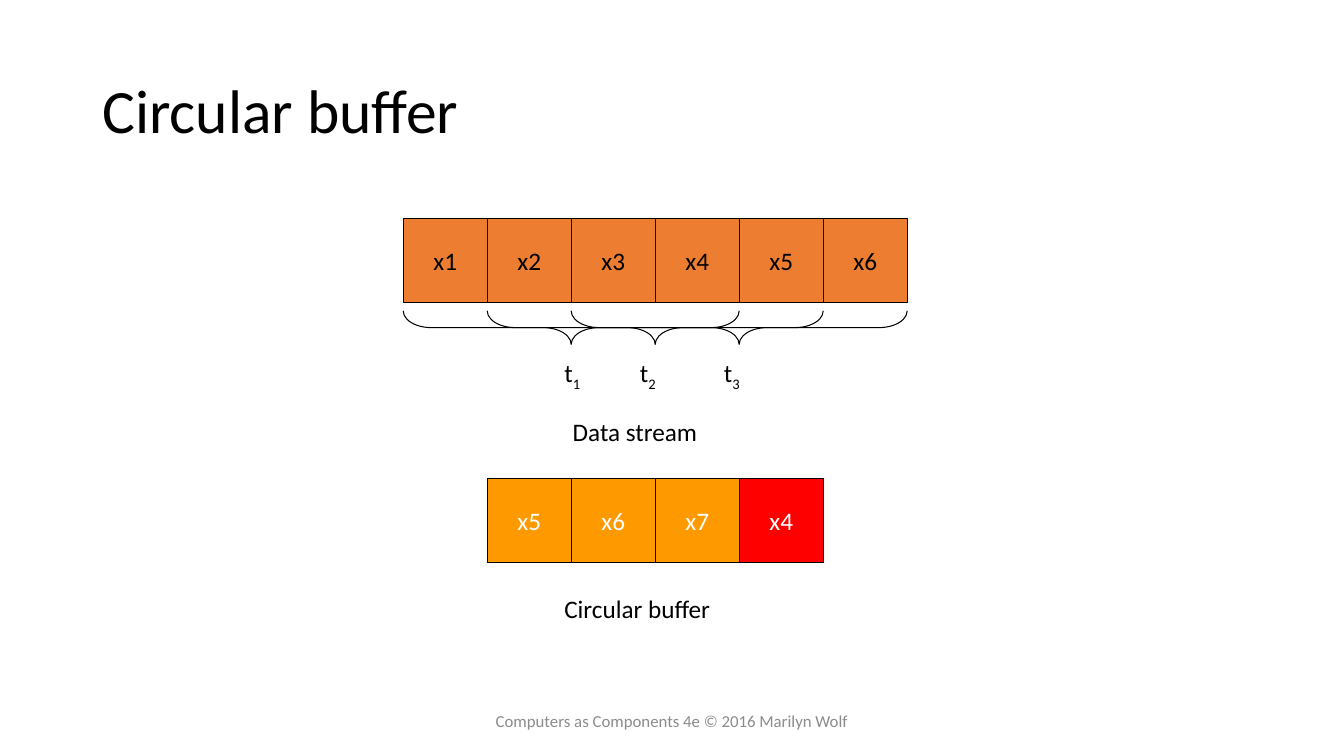
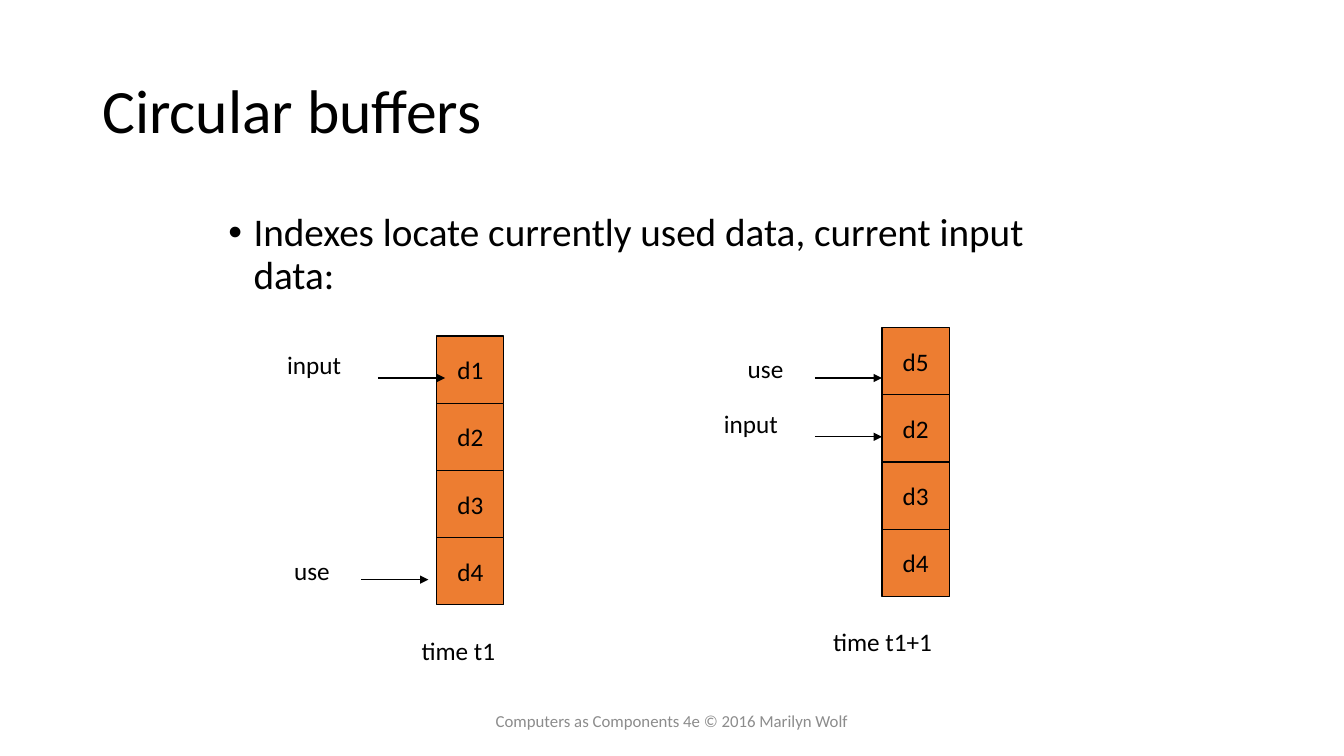
from lxml.etree import SubElement
from pptx import Presentation
from pptx.dml.color import RGBColor
from pptx.enum.shapes import MSO_CONNECTOR, MSO_SHAPE
from pptx.enum.text import MSO_ANCHOR, MSO_AUTO_SIZE, PP_ALIGN
from pptx.oxml.ns import qn
from pptx.util import Pt

COLORS = {"ink": "000000", "white": "FFFFFF", "footer": "8C8C8C",
          "stream": "ED7D31", "buffer": "FF9900", "newest": "FF0000"}
FONT = "Calibri"
TITLES = ["Circular buffer", "Circular buffers"]
FOOTER = "Computers as Components 4e © 2016 Marilyn Wolf"


def rgb(name):
    return RGBColor.from_string(COLORS[name])


def write(shape, text, size=18, color="ink", align=PP_ALIGN.LEFT,
          anchor=MSO_ANCHOR.TOP, wrap=False, fit=MSO_AUTO_SIZE.NONE,
          spacing=None, sub=None, bullet=False):
    """Fill a shape with one formatted paragraph, with an optional subscript."""
    tf = shape.text_frame
    tf.word_wrap, tf.auto_size, tf.vertical_anchor = wrap, fit, anchor
    p = tf.paragraphs[0]
    p.alignment, p.line_spacing = align, spacing
    if bullet:
        pPr = p._p.get_or_add_pPr()
        pPr.set("marL", str(Pt(18)))
        pPr.set("indent", str(Pt(-18)))
        SubElement(pPr, qn("a:buFont")).set("typeface", "Arial")
        SubElement(pPr, qn("a:buChar")).set("char", "•")
    for part in filter(None, (text, sub)):
        r = p.add_run()
        r.text = part
        r.font.name, r.font.size = FONT, Pt(size)
        r.font.color.rgb = rgb(color)
        if part is sub:
            r.font._element.set("baseline", "-25000")


prs = Presentation()
prs.slide_width, prs.slide_height = Pt(960), Pt(540)

# Shared title and footer
for title in TITLES:
    s = prs.slides.add_slide(prs.slide_layouts[5])
    sp = s.shapes.title
    sp.left, sp.top, sp.width, sp.height = Pt(66), Pt(28.8), Pt(828), Pt(104.4)
    write(sp, title, size=44, anchor=MSO_ANCHOR.MIDDLE, wrap=True, spacing=0.9)
    sp = s.shapes.add_textbox(Pt(318), Pt(500.4), Pt(324), Pt(28.8))
    write(sp, FOOTER, size=12, color="footer", align=PP_ALIGN.CENTER,
          anchor=MSO_ANCHOR.MIDDLE, wrap=True)

stream_slide, index_slide = prs.slides

# Rows and columns of cells: slide, left, top, side, x step, y step, fills, text color, names
cell_runs = [
    (stream_slide, 288, 156, 60, 60, 0, ["stream"] * 6, "ink",
     ["x1", "x2", "x3", "x4", "x5", "x6"]),
    (stream_slide, 348, 342, 60, 60, 0, ["buffer"] * 3 + ["newest"], "white",
     ["x5", "x6", "x7", "x4"]),
    (index_slide, 312, 240, 48, 0, 48, ["stream"] * 4, "ink",
     ["d1", "d2", "d3", "d4"]),
    (index_slide, 630, 234, 48, 0, 48, ["stream"] * 4, "ink",
     ["d5", "d2", "d3", "d4"]),
]
for s, left, top, side, dx, dy, fills, color, names in cell_runs:
    for i, (fill, name) in enumerate(zip(fills, names)):
        sp = s.shapes.add_shape(MSO_SHAPE.RECTANGLE, Pt(left + i * dx),
                                Pt(top + i * dy), Pt(side), Pt(side))
        sp.shadow.inherit = False
        sp.fill.solid()
        sp.fill.fore_color.rgb = rgb(fill)
        sp.line.color.rgb = rgb("ink")
        sp.line.width = Pt(0.75)
        write(sp, name, color=color, align=PP_ALIGN.CENTER, anchor=MSO_ANCHOR.MIDDLE)

# Braces: each spans four cells of the stream, one cell further on
for i in range(3):
    sp = stream_slide.shapes.add_shape(MSO_SHAPE.LEFT_BRACE, Pt(396 + i * 60),
                                       Pt(114), Pt(24), Pt(240))
    sp.rotation = 270
    sp.adjustments[0], sp.adjustments[1] = 0.83, 0.5
    sp.shadow.inherit = False
    sp.fill.background()
    sp.line.color.rgb = rgb("ink")
    sp.line.width = Pt(0.75)

# Bulleted statement
sp = index_slide.shapes.add_textbox(Pt(156), Pt(148.5), Pt(643.5), Pt(91.5))
write(sp, "Indexes locate currently used data, current input data:",
      size=28, wrap=True, spacing=0.9, bullet=True)

# Labels: slide, text, subscript, left, top, width
labels = [
    (stream_slide, "t", "1", 396, 252, 26.5),
    (stream_slide, "t", "2", 450, 252, 26.5),
    (stream_slide, "t", "3", 510, 252, 26.5),
    (stream_slide, "Data stream", None, 402, 294, 104.5),
    (stream_slide, "Circular buffer", None, 396, 420, 120),
    (index_slide, "time t1", None, 294, 450, 67.5),
    (index_slide, "use", None, 203, 393, 40.5),
    (index_slide, "input", None, 198, 246, 53.5),
    (index_slide, "time t1+1", None, 588, 444, 86.5),
    (index_slide, "use", None, 527, 249, 40.5),
    (index_slide, "input", None, 510, 288, 53.5),
]
for s, text, sub, left, top, width in labels:
    sp = s.shapes.add_textbox(Pt(left), Pt(top), Pt(width), Pt(29))
    write(sp, text, sub=sub, fit=MSO_AUTO_SIZE.SHAPE_TO_FIT_TEXT)

# Index arrows
for x, y in [(258, 414), (270, 270), (582, 270), (582, 312)]:
    arrow = index_slide.shapes.add_connector(MSO_CONNECTOR.STRAIGHT, Pt(x), Pt(y),
                                             Pt(x + 48), Pt(y))
    arrow.line.color.rgb = rgb("ink")
    arrow.line.width = Pt(0.75)
    SubElement(arrow.line._get_or_add_ln(), qn("a:tailEnd")).set("type", "triangle")
    SubElement(arrow._element.spPr, qn("a:effectLst"))

prs.save("out.pptx")
